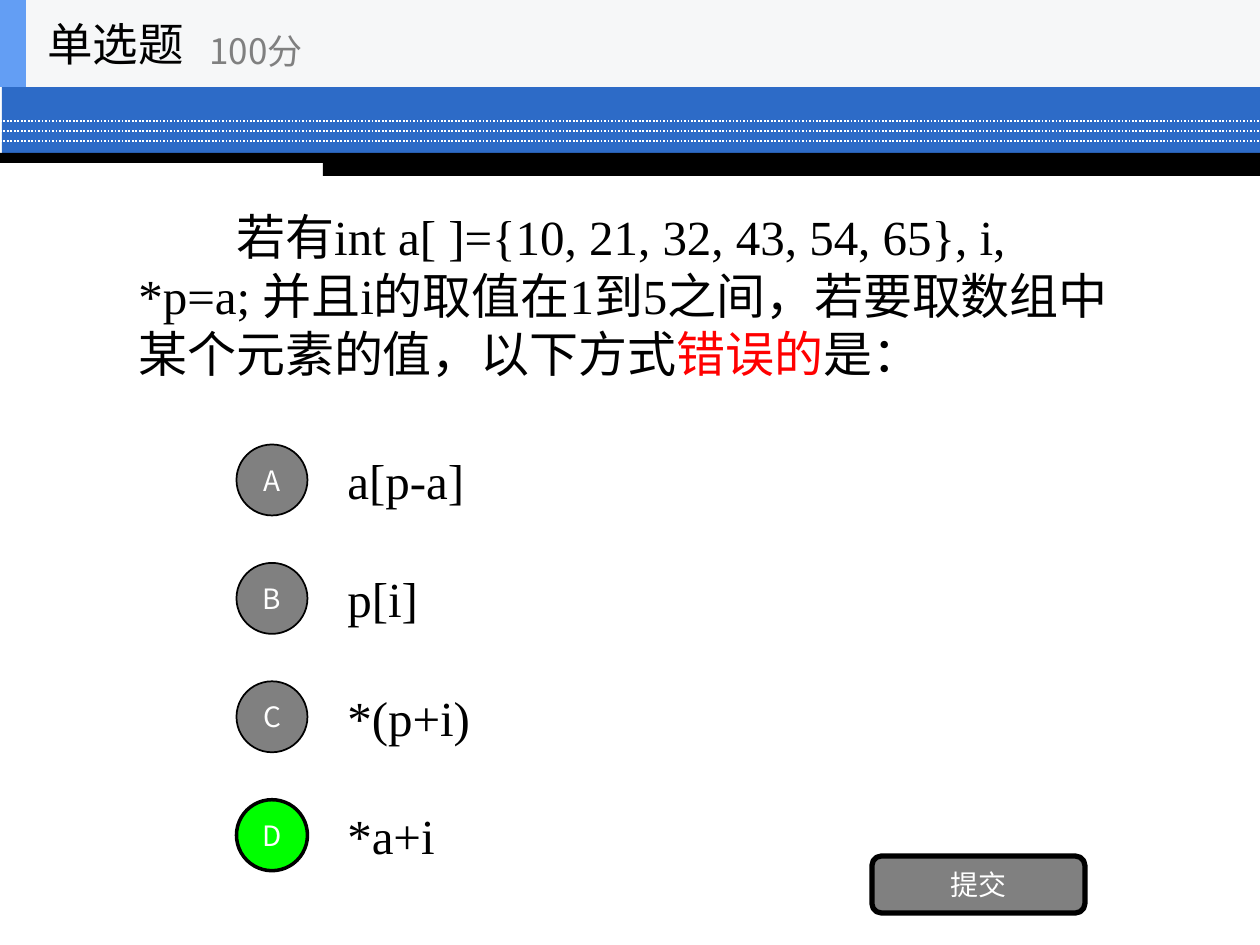
import pptx
import pptx.util
import pptx.dml.color
import pptx.enum.dml
import pptx.enum.shapes
import pptx.enum.text
import pptx.oxml.ns
from lxml import etree

PX = 914400 // 126
SHAPES = pptx.enum.shapes.MSO_SHAPE
ALIGN = pptx.enum.text.PP_ALIGN
SANS, SERIF = "Noto Sans CJK SC", "Times New Roman"

COLORS = {
    "black": "000000", "white": "FFFFFF", "grey": "808080", "red": "FF0000",
    "green": "00FF00", "band": "2D6BC7", "header": "F6F7F8", "accent": "639EF4",
}

# Content
QUESTION = [
    ("若有int a[ ]={10, 21, 32, 43, 54, 65}, i, *p=a; 并且i的取值在1到5之间，"
     "若要取数组中某个元素的值，以下方式", "black"),
    ("错误的", "red"),
    ("是：", "black"),
]
OPTIONS = [("A", "a[p-a]"), ("B", "p[i]"), ("C", "*(p+i)"), ("D", "*a+i")]
ANSWER = "D"
TITLE, SCORE, SUBMIT = "单选题", "100分", "提交"

# Layout in px
OPTION_TOP, OPTION_STEP, OPTION_HEIGHT = 436, 118.4, 88
BADGE_SIZE = 71
DOTTED_LINES = [121, 131, 141]


def px(value):
    return pptx.util.Emu(round(value * PX))


def rgb(name):
    return pptx.dml.color.RGBColor.from_string(COLORS[name])


def write(shape, runs, size, font, align=ALIGN.LEFT):
    frame = shape.text_frame
    frame.word_wrap = True
    frame.vertical_anchor = pptx.enum.text.MSO_ANCHOR.MIDDLE
    paragraph = frame.paragraphs[0]
    paragraph.alignment = align
    for text, color in runs:
        run = paragraph.add_run()
        run.text = text
        run.font.size = pptx.util.Pt(size)
        run.font.color.rgb = rgb(color)
        run.font.name = font
        east_asian = etree.SubElement(run.font._element, pptx.oxml.ns.qn("a:ea"))
        east_asian.set("typeface", SANS)
    return paragraph


def add_text(slide, box, runs, size, font):
    return write(slide.shapes.add_textbox(*map(px, box)), runs, size, font)


def add_block(slide, kind, box, fill, line_width=0):
    block = slide.shapes.add_shape(kind, *map(px, box))
    block.shadow.inherit = False
    block.fill.solid()
    block.fill.fore_color.rgb = rgb(fill)
    if line_width:
        block.line.color.rgb = rgb("black")
        block.line.width = pptx.util.Pt(line_width)
    else:
        block.line.fill.background()
    return block


def add_dotted_line(slide, y):
    line = slide.shapes.add_connector(
        pptx.enum.shapes.MSO_CONNECTOR.STRAIGHT, 0, px(y), px(1260), px(y))
    line.line.color.rgb = rgb("white")
    line.line.width = pptx.util.Pt(1)
    line.line.dash_style = pptx.enum.dml.MSO_LINE.ROUND_DOT
    etree.SubElement(line._element.spPr, pptx.oxml.ns.qn("a:effectLst"))


def main():
    deck = pptx.Presentation()
    deck.slide_width, deck.slide_height = px(1260), px(945)
    slide = deck.slides.add_slide(deck.slide_layouts[6])

    # Blue band with dotted lines and black edge
    add_block(slide, SHAPES.RECTANGLE, (2, 0, 1258, 155), "band")
    for y in DOTTED_LINES:
        add_dotted_line(slide, y)
    for box in [(0, 153, 1260, 10), (323, 156, 937, 20)]:
        add_block(slide, SHAPES.RECTANGLE, box, "black")

    # Question
    question = add_text(slide, (126, 147, 1008, 295), QUESTION, 28, SERIF)
    question._p.get_or_add_pPr().set("indent", str(px(98)))

    # Options with their letter badges
    for row, (letter, text) in enumerate(OPTIONS):
        top = OPTION_TOP + row * OPTION_STEP
        add_text(slide, (335, top, 882, OPTION_HEIGHT), [(text, "black")], 28, SERIF)
        fill, line_width = ("green", 2) if letter == ANSWER else ("grey", 1)
        badge_top = top + (OPTION_HEIGHT - BADGE_SIZE) / 2
        badge = add_block(slide, SHAPES.OVAL, (236.5, badge_top, BADGE_SIZE, BADGE_SIZE),
                          fill, line_width)
        badge.text_frame.margin_left = badge.text_frame.margin_right = 0
        write(badge, [(letter, "white")], 16, SANS, ALIGN.CENTER)

    # Submit button
    button = add_block(slide, SHAPES.ROUNDED_RECTANGLE, (872, 856, 213, 57), "grey", 3)
    write(button, [(SUBMIT, "white")], 16, SANS, ALIGN.CENTER)

    # Header
    add_block(slide, SHAPES.RECTANGLE, (0, 0, 1260, 87), "header")
    add_block(slide, SHAPES.RECTANGLE, (0, 0, 26, 87), "accent")
    add_text(slide, (35, 0, 262, 87), [(TITLE, "black")], 26, SANS)
    add_text(slide, (197, 15, 315, 71), [(SCORE, "grey")], 20, SANS)

    deck.save("out.pptx")


if __name__ == "__main__":
    main()
